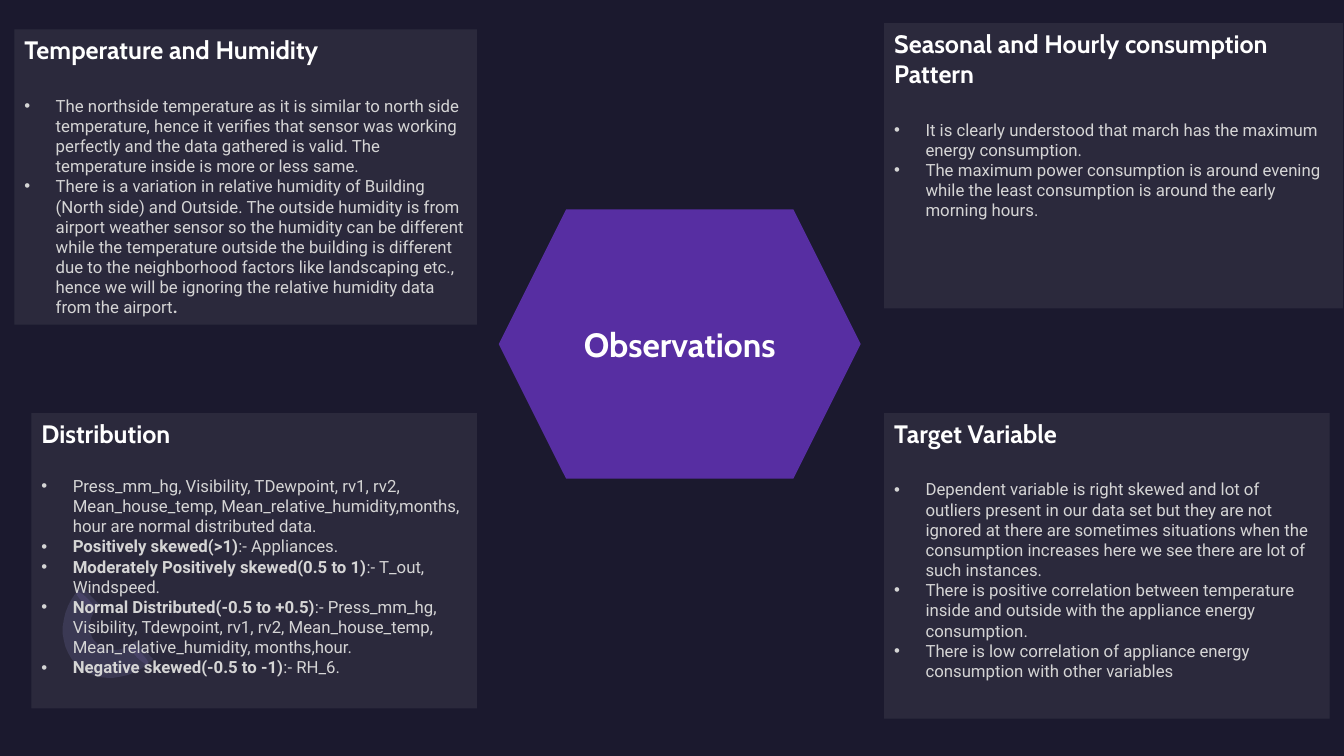
from dataclasses import dataclass
from lxml.etree import SubElement
from pptx import Presentation
from pptx.dml.color import RGBColor as RGB
from pptx.enum.shapes import MSO_SHAPE as SHAPE
from pptx.enum.text import MSO_ANCHOR as ANCHOR, MSO_AUTO_SIZE as FIT, PP_ALIGN as ALIGN
from pptx.oxml.ns import qn
from pptx.util import Cm, Pt


@dataclass(frozen=True)
class Theme:
    background: str = "1B192E"
    card: str = "BFBFBF"
    accent: str = "572EA2"
    ring: str = "7771B2"
    ring_end: str = "2C284A"
    white: str = "FFFFFF"
    body: str = "D5D5D5"
    head_font: str = "Cabin"
    body_font: str = "Roboto"
    title_size: float = 24
    head_size: float = 18
    body_size: float = 12
    card_alpha: int = 10
    ring_alpha: int = 20
    indent: float = 0.79


def bezier(start, c1, c2, end, steps=12):
    for i in range(1, steps + 1):
        t = i / steps
        u = 1 - t
        yield tuple(u**3 * a + 3 * u * u * t * b + 3 * u * t * t * c + t**3 * d
                    for a, b, c, d in zip(start, c1, c2, end))


class ObservationSlide:
    def __init__(self, prs, theme):
        self.theme = theme
        self.s = prs.slides.add_slide(prs.slide_layouts[4])
        bg = self.s.background.fill
        bg.solid()
        bg.fore_color.rgb = RGB.from_string(theme.background)

    def fill(self, sp, color, alpha=None):
        sp.fill.solid()
        sp.fill.fore_color.rgb = RGB.from_string(color)
        sp.line.fill.background()
        if alpha:
            clr = sp.element.spPr.find(qn("a:solidFill")).find(qn("a:srgbClr"))
            SubElement(clr, qn("a:alpha")).set("val", str(alpha * 1000))

    def place(self, sp, box):
        sp.left, sp.top, sp.width, sp.height = (Cm(v) for v in box)
        sp.element.getparent().append(sp.element)

    def frame(self, sp, anchor):
        tf = sp.text_frame
        tf.word_wrap = True
        tf.auto_size = FIT.NONE
        tf.vertical_anchor = anchor
        return tf

    def run(self, p, text, font, size, color, bold):
        r = p.add_run()
        r.text = text
        r.font.name, r.font.size, r.font.bold = font, Pt(size), bold
        r.font.color.rgb = RGB.from_string(color)

    def paragraph(self, p, align=ALIGN.LEFT, before=0, bullet=False):
        p.alignment = align
        p.space_before = Pt(before)
        pPr = p._p.get_or_add_pPr()
        indent = Cm(self.theme.indent) if bullet else 0
        pPr.set("marL", str(indent))
        pPr.set("indent", str(-indent))
        if bullet:
            SubElement(pPr, qn("a:buFont")).set("typeface", "Arial")
            SubElement(pPr, qn("a:buChar")).set("char", "•")
        else:
            SubElement(pPr, qn("a:buNone"))

    def shape(self, kind, box, color, rotation=0):
        sp = self.s.shapes.add_shape(kind, *(Cm(v) for v in box))
        sp.shadow.inherit = False
        sp.rotation = rotation
        self.fill(sp, color)

    def ring(self, start, segments):
        points, last = [], start
        for seg in segments:
            points += seg if len(seg) == 1 else bezier(last, *seg)
            last = seg[-1]
        builder = self.s.shapes.build_freeform(*start, scale=Cm(0.01))
        builder.add_line_segments(points, close=True)
        sp = builder.convert_to_shape()
        sp.shadow.inherit = False
        self.fill(sp, self.theme.ring, self.theme.ring_alpha)

    def title(self, text, box):
        t = self.theme
        self.shape(SHAPE.HEXAGON, box, t.accent)
        sp = self.s.shapes.title
        self.place(sp, box)
        p = self.frame(sp, ANCHOR.MIDDLE).paragraphs[0]
        self.paragraph(p, ALIGN.CENTER)
        self.run(p, text, t.head_font, t.title_size, t.white, True)

    def card(self, idx, box, heading, bullets, gap=22):
        t = self.theme
        sp = self.s.placeholders[idx]
        self.place(sp, box)
        self.fill(sp, t.card, t.card_alpha)
        tf = self.frame(sp, ANCHOR.TOP)
        p = tf.paragraphs[0]
        self.paragraph(p)
        self.run(p, heading, t.head_font, t.head_size, t.white, True)
        for i, runs in enumerate(bullets):
            p = tf.add_paragraph()
            self.paragraph(p, before=0 if i else gap, bullet=True)
            for text, bold in runs:
                self.run(p, text, t.body_font, t.body_size, t.body, bold)


def plain(*texts):
    return [[(text, False)] for text in texts]


def main():
    prs = Presentation()
    prs.slide_width, prs.slide_height = Cm(33.87), Cm(19.05)
    theme = Theme()
    slide = ObservationSlide(prs, theme)

    for left, top in ((3.43, 16.18), (2.08, 14.81)):
        slide.shape(SHAPE.OVAL, (left, top, 0.15, 0.66), theme.ring_end, 135)
    slide.ring((193, 1674), [
        [(142, 1623), (147, 1537), (206, 1478)],
        [(251, 1524)],
        [(221, 1552), (218, 1598), (244, 1621)],
        [(269, 1646), (312, 1643), (343, 1615)],
        [(386, 1661)],
        [(330, 1717), (241, 1725), (193, 1674)],
    ])

    slide.card(1, (0.36, 0.74, 11.66, 7.44), "Temperature and Humidity", [
        *plain("The northside temperature as it is similar to north side temperature, hence it "
               "verifies that sensor was working perfectly and the data gathered is valid. "
               "The temperature inside is more or less same."),
        [("There is a variation in relative humidity of Building (North side) and Outside. "
          "The outside humidity is from airport weather sensor so the humidity can be different "
          "while the temperature outside the building is different due to the neighborhood "
          "factors like landscaping etc., hence we will be ignoring the relative humidity data "
          "from the airport", False), (".", True)],
    ])
    slide.title("Observations", (12.57, 5.28, 9.12, 6.78))
    slide.card(3, (22.28, 0.58, 11.56, 7.19), "Seasonal and Hourly consumption Pattern", plain(
        "It is clearly understood that march has the maximum energy consumption.",
        "The maximum power consumption is around evening while the least consumption is "
        "around the early morning hours.",
    ))
    skews = [
        ("Positively skewed(>1)", ":- Appliances."),
        ("Moderately Positively skewed(0.5 to 1)", ":- T_out, Windspeed."),
        ("Normal Distributed(-0.5 to +0.5)",
         ":- Press_mm_hg, Visibility, Tdewpoint, rv1, rv2, Mean_house_temp, "
         "Mean_relative_humidity, months,hour."),
        ("Negative skewed(-0.5 to -1)", ":- RH_6."),
    ]
    slide.card(2, (0.79, 10.41, 11.23, 7.44), "Distribution", [
        *plain("Press_mm_hg, Visibility, TDewpoint, rv1, rv2, Mean_house_temp, "
               "Mean_relative_humidity,months, hour are normal distributed data."),
        *([(label, True), (names, False)] for label, names in skews),
    ], gap=19.5)
    slide.card(4, (22.28, 10.41, 11.23, 7.7), "Target Variable", plain(
        "Dependent variable is right skewed and lot of outliers present in our data set but "
        "they are not ignored at there are sometimes situations when the consumption increases "
        "here we see there are lot of such instances.",
        "There is positive correlation between temperature inside and outside with the "
        "appliance energy consumption.",
        "There is low correlation of appliance energy consumption with other variables",
    ))
    prs.save("out.pptx")


if __name__ == "__main__":
    main()
